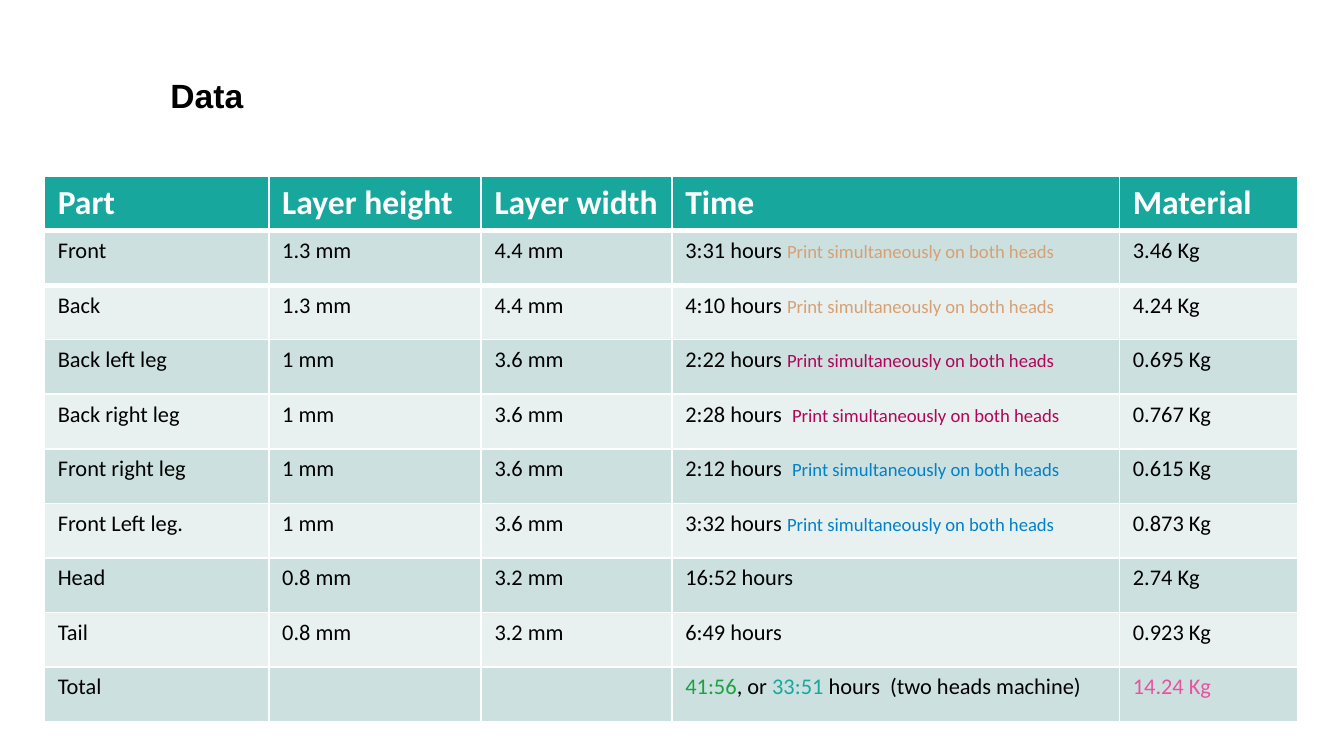
from typing import NamedTuple

import lxml.etree
import pptx
import pptx.dml.color
import pptx.enum.text
import pptx.oxml.ns
import pptx.util
from pptx.util import Inches

TEAL, WHITE, BLACK = "17A79D", "FFFFFF", "000000"
BANDS = ["CCE1DF", "E8F1EF"]
TAN, CRIMSON, BLUE, GREEN, PINK = "D7A074", "B20559", "0081C9", "19A241", "E852A1"
NOTE = "Print simultaneously on both heads"
HEADERS = ["Part", "Layer height", "Layer width", "Time", "Material"]
COL_WIDTHS = [1.67, 1.58, 1.42, 3.33, 1.33]
TABLE_HEIGHT = 4.06


class Part(NamedTuple):
    name: str
    layer_height: str
    layer_width: str
    time: str
    material: str
    note_color: str = ""


PARTS = [
    Part("Front", "1.3 mm", "4.4 mm", "3:31 hours ", "3.46 Kg", TAN),
    Part("Back", "1.3 mm", "4.4 mm", "4:10 hours ", "4.24 Kg", TAN),
    Part("Back left leg", "1 mm", "3.6 mm", "2:22 hours ", "0.695 Kg", CRIMSON),
    Part("Back right leg", "1 mm", "3.6 mm", "2:28 hours  ", "0.767 Kg", CRIMSON),
    Part("Front right leg", "1 mm", "3.6 mm", "2:12 hours  ", "0.615 Kg", BLUE),
    Part("Front Left leg.", "1 mm", "3.6 mm", "3:32 hours ", "0.873 Kg", BLUE),
    Part("Head", "0.8 mm", "3.2 mm", "16:52 hours", "2.74 Kg"),
    Part("Tail", "0.8 mm", "3.2 mm", "6:49 hours", "0.923 Kg"),
]
TOTAL_TIME = [
    ("41:56", GREEN),
    (", or ", BLACK),
    ("33:51", TEAL),
    (" hours  (two heads machine)", BLACK),
]


def rgb(color: str) -> pptx.dml.color.RGBColor:
    return pptx.dml.color.RGBColor.from_string(color)


def add_text(p, text: str, *, size: float = 12, color: str = BLACK,
             bold: bool = False, font: str = "Calibri") -> None:
    r = p.add_run()
    r.text = text
    r.font.size = pptx.util.Pt(size)
    r.font.name = font
    r.font.bold = bold
    r.font.color.rgb = rgb(color)


def add_title(s, text: str) -> None:
    sp = s.shapes.add_textbox(Inches(1.17), Inches(0.54), Inches(7.33), Inches(0.33))
    tf = sp.text_frame
    tf.word_wrap = True
    tf.margin_top = tf.margin_bottom = 0
    tf.vertical_anchor = pptx.enum.text.MSO_ANCHOR.MIDDLE
    add_text(tf.paragraphs[0], text, size=18, bold=True, font="Arial")


def fill_cell(cell, color: str):
    cell.fill.solid()
    cell.fill.fore_color.rgb = rgb(color)
    return cell.text_frame.paragraphs[0]


def set_border(cell, side: str, width: float, color: str) -> None:
    qn = pptx.oxml.ns.qn
    line = lxml.etree.Element(qn(f"a:{side}"), w=str(pptx.util.Pt(width)))
    fill = lxml.etree.SubElement(line, qn("a:solidFill"))
    lxml.etree.SubElement(fill, qn("a:srgbClr"), val=color)
    cell._tc.get_or_add_tcPr().insert(0, line)


def fill_header(cells) -> None:
    for cell, text in zip(cells, HEADERS):
        add_text(fill_cell(cell, TEAL), text, size=18, color=WHITE, bold=True)
        set_border(cell, "lnB", 3, WHITE)


def fill_part(cells, part: Part, band: str) -> None:
    for cell, text in zip(cells, part[:5]):
        add_text(fill_cell(cell, band), text)
    if part.note_color:
        p = cells[3].text_frame.paragraphs[0]
        add_text(p, NOTE, size=10, color=part.note_color)


def fill_total(cells, band: str) -> None:
    name, _, _, time, material = [fill_cell(cell, band) for cell in cells]
    add_text(name, "Total")
    for text, color in TOTAL_TIME:
        add_text(time, text, color=color)
    add_text(material, "14.24 Kg", color=PINK)


def add_data_table(s) -> None:
    count = len(PARTS) + 2
    table = s.shapes.add_table(count, len(HEADERS), Inches(0.33), Inches(1.31),
                               Inches(sum(COL_WIDTHS)), Inches(TABLE_HEIGHT)).table
    for column, width in zip(table.columns, COL_WIDTHS):
        column.width = Inches(width)
    rows = [list(row.cells) for row in table.rows]
    fill_header(rows[0])
    for i, part in enumerate(PARTS):
        fill_part(rows[i + 1], part, BANDS[i % 2])
    for cell in rows[1]:
        set_border(cell, "lnT", 3, WHITE)
    fill_total(rows[-1], BANDS[len(PARTS) % 2])


def main() -> None:
    prs = pptx.Presentation()
    prs.slide_width = Inches(10)
    prs.slide_height = prs.slide_width * 9 // 16
    s = prs.slides.add_slide(prs.slide_layouts[6])
    add_data_table(s)
    add_title(s, "Data")
    prs.save("out.pptx")


if __name__ == "__main__":
    main()
